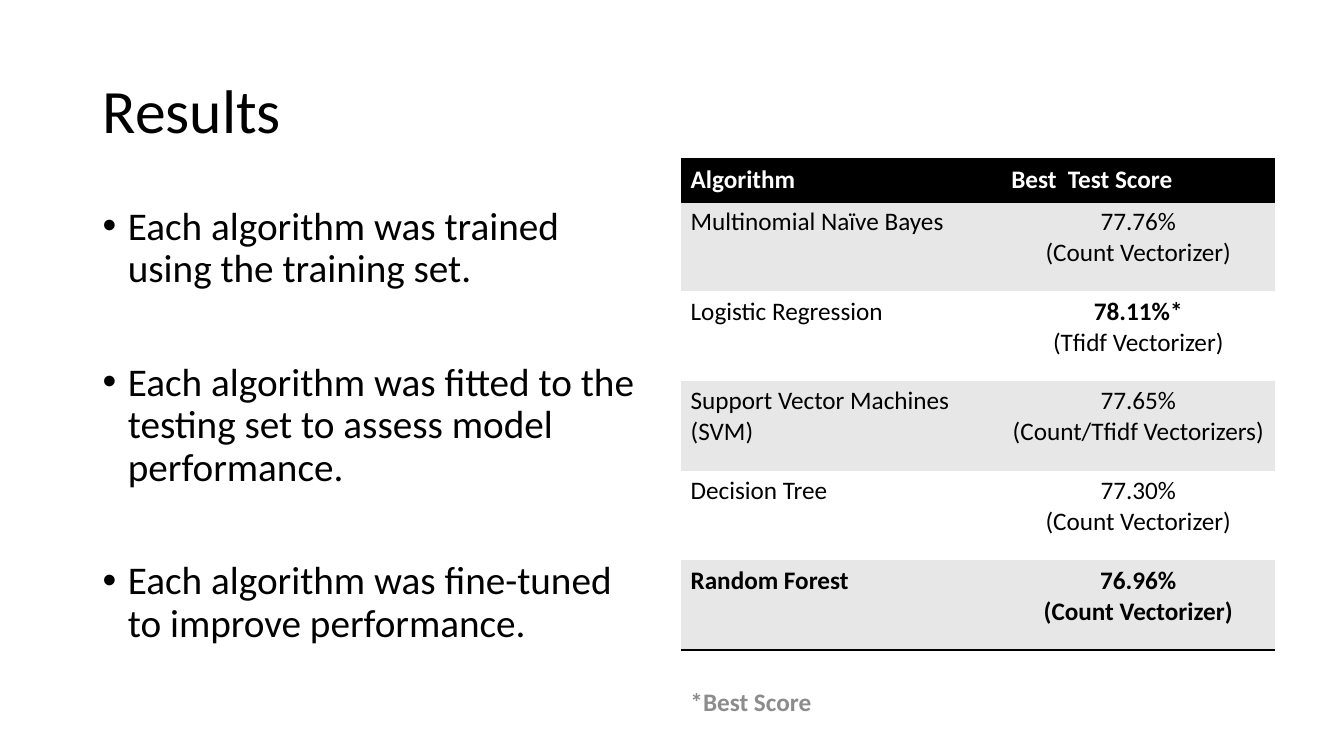
"""Build the Results slide: three findings beside a table of test scores."""
from dataclasses import dataclass

from lxml.etree import SubElement
from pptx import Presentation
from pptx.dml.color import RGBColor
from pptx.enum.text import MSO_ANCHOR, PP_ALIGN
from pptx.oxml.ns import qn
from pptx.util import Pt

PX = 9144
NO_GRID_STYLE = "{2D5ABB26-0587-4C30-8999-92F81FD0307C}"


@dataclass(frozen=True)
class Theme:
    """Hold the colours, typeface and type sizes of the slide."""

    font: str = "Calibri"
    ink: str = "000000"
    paper: str = "FFFFFF"
    band: str = "E7E7E7"
    muted: str = "8C8C8C"
    title: int = 44
    body: int = 28
    small: int = 18
    rule: int = 2


THEME = Theme()

FINDINGS = [
    "Each algorithm was trained using the training set.",
    "Each algorithm was fitted to the testing set to assess model performance.",
    "Each algorithm was fine-tuned to improve performance.",
]

HEADINGS = ["Algorithm", "Best  Test Score"]

SCORES = [
    ("Multinomial Naïve Bayes", "77.76%", "(Count Vectorizer)"),
    ("Logistic Regression", "78.11%*", "(Tfidf Vectorizer)"),
    ("Support Vector Machines (SVM)", "77.65%", "(Count/Tfidf Vectorizers)"),
    ("Decision Tree", "77.30%", "(Count Vectorizer)"),
    ("Random Forest", "76.96%", "(Count Vectorizer)"),
]
BOLD_ENTRIES = {"78.11%*"}
BOLD_ALGORITHMS = {"Random Forest"}


def emu(*lengths):
    """Turn px lengths into EMU."""
    return [length * PX for length in lengths]


def apply(target, values):
    """Set each named attribute on the target."""
    for name, value in values.items():
        setattr(target, name, value)


def write_lines(frame, lines, size, color=THEME.ink, **layout):
    """Write (text, bold) lines as paragraphs of one text frame."""
    for index, (text, bold) in enumerate(lines):
        paragraph = frame.add_paragraph() if index else frame.paragraphs[0]
        apply(paragraph, layout)
        run = paragraph.add_run()
        run.text = text
        apply(run.font, {"name": THEME.font, "size": Pt(size), "bold": bold})
        run.font.color.rgb = RGBColor.from_string(color)


def add_text(slide, box, lines, size, anchor=MSO_ANCHOR.MIDDLE, **options):
    """Add a wrapping text box and return its frame."""
    frame = slide.shapes.add_textbox(*emu(*box)).text_frame
    apply(frame, {"word_wrap": True, "vertical_anchor": anchor})
    write_lines(frame, lines, size, **options)
    return frame


def add_bullets(frame, indent):
    """Give every paragraph a hanging round bullet."""
    for paragraph in frame.paragraphs:
        properties = paragraph._p.get_or_add_pPr()
        properties.set("marL", str(indent * PX))
        properties.set("indent", str(-indent * PX))
        SubElement(properties, qn("a:buFont"), typeface="Arial")
        SubElement(properties, qn("a:buChar"), char="•")


def rule_cell(cell, edges):
    """Draw solid rules on the named edges of a cell."""
    properties = cell._tc.get_or_add_tcPr()
    for edge in edges:
        line = SubElement(properties, qn(f"a:ln{edge}"), w=str(Pt(THEME.rule)))
        fill = SubElement(line, qn("a:solidFill"))
        SubElement(fill, qn("a:srgbClr"), val=THEME.ink)


def fill_cell(cell, lines, background, edges="", **options):
    """Write, rule and fill one table cell."""
    write_lines(cell.text_frame, lines, THEME.small, **options)
    rule_cell(cell, edges)
    cell.fill.solid()
    cell.fill.fore_color.rgb = RGBColor.from_string(background)


def add_scores(slide, box, widths, heading_height, row_height):
    """Add the banded table of algorithms and their best scores."""
    table = slide.shapes.add_table(len(SCORES) + 1, len(HEADINGS), *emu(*box)).table
    table._tbl.tblPr.find(qn("a:tableStyleId")).text = NO_GRID_STYLE
    for column, width in zip(table.columns, emu(*widths)):
        column.width = width
    for row in table.rows:
        row.height = row_height * PX
    table.rows[0].height = heading_height * PX

    for column, heading in enumerate(HEADINGS):
        fill_cell(table.cell(0, column), [(heading, True)], THEME.ink, "TB",
                  color=THEME.paper)
    for row, (algorithm, *entries) in enumerate(SCORES, 1):
        background = THEME.band if row % 2 else THEME.paper
        edges = "B" if row == len(SCORES) else ""
        strong = algorithm in BOLD_ALGORITHMS
        score = [(entry, strong or entry in BOLD_ENTRIES) for entry in entries]
        fill_cell(table.cell(row, 0), [(algorithm, strong)], background, edges)
        fill_cell(table.cell(row, 1), score, background, edges,
                  alignment=PP_ALIGN.CENTER)


def main():
    """Build and save the slide."""
    deck = Presentation()
    deck.slide_width, deck.slide_height = emu(1333, 750)
    slide = deck.slides.add_slide(deck.slide_layouts[6])

    add_text(slide, (92, 40, 1150, 145), [("Results", False)], THEME.title,
             line_spacing=0.9)
    findings = add_text(slide, (92, 200, 547, 476),
                        [(finding, False) for finding in FINDINGS], THEME.body,
                        MSO_ANCHOR.TOP, line_spacing=0.9, space_after=Pt(51))
    add_bullets(findings, 25)
    add_text(slide, (675, 676, 450, 40), [("*Best Score", True)], THEME.small,
             color=THEME.muted)
    add_scores(slide, (675, 158, 590, 487), (318, 272), 42, 89)

    deck.save("out.pptx")


if __name__ == "__main__":
    main()
